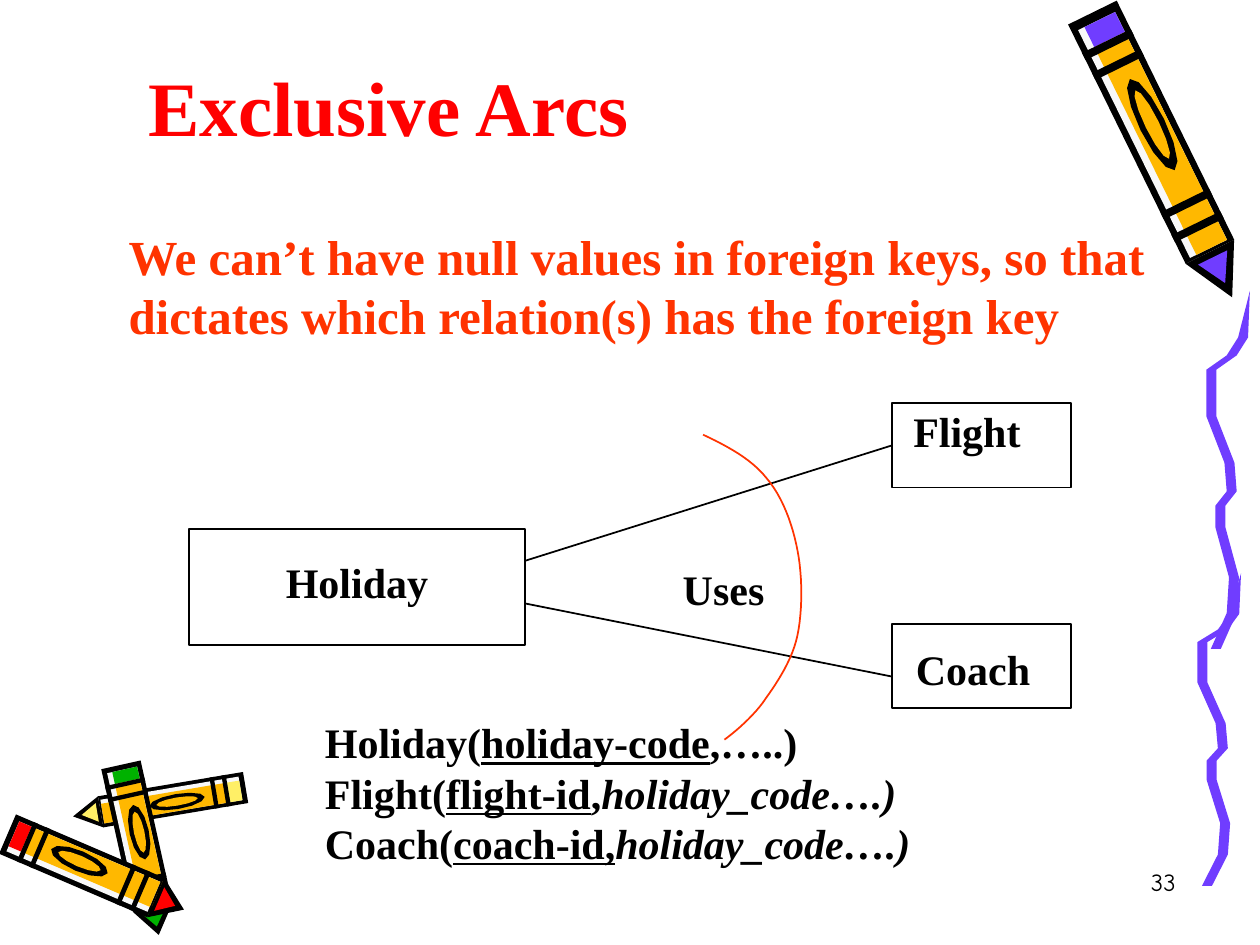
from math import cos, hypot, pi, sin

from lxml import etree
from pptx import Presentation
from pptx.dml.color import RGBColor
from pptx.enum import shapes, text
from pptx.oxml.ns import qn
from pptx.util import Inches, Pt

COLORS = {"black": "000000", "title": "FF0000", "accent": "FF3300", "purple": "703DFF",
          "orange": "FFB800", "paper": "F8F8F8", "yellow": "FFEF66", "red": "FF0000",
          "green": "00B200"}
SERIF, HAND = "Times New Roman", "Comic Neue"

TITLE = "Exclusive Arcs"
BODY = ("We can’t have null values in foreign keys, so that dictates which relation(s) "
        "has the foreign key")
# Each run is its text and its style: "" plain, "u" underlined, "i" italic
RELATIONS = [
    [("Holiday(", ""), ("holiday-code", "u"), (",…..)", "")],
    [("Flight(", ""), ("flight-id", "u"), (",", ""), ("holiday_code….)", "i")],
    [("Coach(", ""), ("coach-id,", "u"), ("holiday_code….)", "i")],
]
ENTITIES = {"Holiday": (1.5, 4.2, 2.67, 0.92), "Flight": (7.08, 3.2, 1.42, 0.67),
            "Coach": (7.08, 4.95, 1.42, 0.67)}
LABELS = {"Uses": (5.32, 4.42, 0.85, 0.5), "Flight": (7.15, 3.17, 1.05, 0.5),
          "Coach": (7.17, 5.06, 1.11, 0.5), "Holiday": (2.17, 4.37, 1.33, 0.5)}
ARC_START = (5.58, 3.45)
ARC_CURVES = [  # two control points and an end point
    ((5.77, 3.54), (5.96, 3.64), (6.08, 3.79)),
    ((6.21, 3.94), (6.29, 4.16), (6.33, 4.37)),
    ((6.37, 4.58), (6.37, 4.84), (6.33, 5.04)),
    ((6.29, 5.23), (6.18, 5.4), (6.08, 5.54)),
    ((5.99, 5.68), (5.82, 5.82), (5.75, 5.87)),
]
# Blunt end, tip, thickness, colour of both ends
CRAYONS = [
    ((1.95, 6.25), (0.58, 6.48), 0.25, "yellow"),
    ((0.96, 6.07), (1.26, 7.42), 0.32, "green"),
    ((0.06, 6.62), (1.46, 7.22), 0.34, "red"),
    ((8.67, 0.1), (9.78, 2.36), 0.43, "purple"),
]
RIBBON = [(1, 0), (.85, .13), (.6, .18), (.15, .22), (.15, .35), (.55, .48),
          (.6, .56), (.35, .6), (.35, .66), (.65, .8), (.6, .9), (.25, 1)]
RIBBON_BOXES = [(9.49, 4.55, 0.36, 2.48), (9.56, 2.31, 0.36, 2.84)]


def rgb(name):
    return RGBColor.from_string(COLORS[name])


def place(shape, box):
    shape.left, shape.top, shape.width, shape.height = map(Inches, box)


def write(shape, paragraphs, size=24, font=SERIF, color="black", bold=True, wrap=False,
          align=text.PP_ALIGN.LEFT, before=0):
    """Fill a shape with paragraphs, each a list of (text, style) runs."""
    frame = shape.text_frame
    frame.word_wrap = wrap
    frame.auto_size = text.MSO_AUTO_SIZE.NONE
    frame.vertical_anchor = text.MSO_ANCHOR.TOP
    for index, runs in enumerate(paragraphs):
        paragraph = frame.add_paragraph() if index else frame.paragraphs[0]
        paragraph.alignment = align
        paragraph.space_before = Pt(before)
        for content, style in runs:
            run = paragraph.add_run()
            run.text = content
            run.font.size, run.font.name, run.font.bold = Pt(size), font, bold
            run.font.underline, run.font.italic = style == "u", style == "i"
            run.font.color.rgb = rgb(color)


def add_text(slide, paragraphs, box, **style):
    write(slide.shapes.add_textbox(*map(Inches, box)), paragraphs, **style)


def finish(shape, fill=None, line=None):
    shape.shadow.inherit = False
    for target, color in ((shape.fill, fill), (shape.line.fill, line)):
        if color:
            target.solid()
            target.fore_color.rgb = rgb(color)
        else:
            target.background()
    if line:
        shape.line.width = Pt(1)


def add_outline(slide, points, close=True, fill=None, line=None):
    points = [(Inches(x), Inches(y)) for x, y in points]
    builder = slide.shapes.build_freeform(*points[0])
    builder.add_line_segments(points[1:], close=close)
    finish(builder.convert_to_shape(), fill, line)


def add_line(slide, start, end):
    line = slide.shapes.add_connector(shapes.MSO_CONNECTOR.STRAIGHT, *map(Inches, start + end))
    line.line.color.rgb = rgb("black")
    line.line.width = Pt(1)
    etree.SubElement(line._element.spPr, qn("a:effectLst"))
    return line


def curve_points(start, curves, steps=12):
    """Return points along a chain of cubic Bézier curves."""
    points = [start]
    for first, second, end in curves:
        corners = (points[-1], first, second, end)
        for t in (step / steps for step in range(1, steps + 1)):
            weights = ((1 - t) ** 3, 3 * t * (1 - t) ** 2, 3 * t * t * (1 - t), t ** 3)
            points.append(tuple(sum(w * c[axis] for w, c in zip(weights, corners))
                                for axis in (0, 1)))
    return points


def band(start, end, low=-0.5, high=0.5):
    return [(start, low), (start, high), (end, high), (end, low)]


def oval(length, width, sides=12):
    return [(0.4 + length * cos(2 * pi * i / sides), 0.08 + width * sin(2 * pi * i / sides))
            for i in range(sides)]


def add_crayon(slide, start, tip, thickness, accent):
    """Draw a crayon from parts given as (share of its length, share of its thickness)."""
    dx, dy = tip[0] - start[0], tip[1] - start[1]
    length = hypot(dx, dy)
    across_x, across_y = dy / length * thickness, -dx / length * thickness
    parts = [("black", band(0, 0.84) + [(1, -0.1), (1, 0.1)][:0]),
             ("black", [(0.84, -0.5), (0.84, 0.5), (1, 0)]),
             ("paper", band(0.03, 0.83, -0.38, 0.38)),
             ("orange", band(0.1, 0.83, -0.25, 0.38)),
             (accent, band(0.03, 0.1, -0.25, 0.38)),
             (accent, [(0.86, -0.3), (0.86, 0.3), (0.95, 0)]),
             ("black", oval(0.16, 0.24)), ("orange", oval(0.12, 0.13))]
    parts += [("black", band(t, t + 0.025)) for t in (0.1, 0.17, 0.66, 0.74)]
    for color, points in parts:
        add_outline(slide, [(start[0] + t * dx + s * across_x, start[1] + t * dy + s * across_y)
                            for t, s in points], fill=color)


def add_ribbon(slide, box, half_width=0.11):
    """Draw a wavy band that starts as a point at the top."""
    left, top, width, height = box
    sides = [[(left + (x + side * half_width * (y > 0)) * width, top + y * height)
              for x, y in RIBBON] for side in (-1, 1)]
    add_outline(slide, sides[0] + sides[1][::-1], fill="purple")


def main():
    presentation = Presentation()
    presentation.slide_width, presentation.slide_height = Inches(10), Inches(7.5)
    slide = presentation.slides.add_slide(presentation.slide_layouts[1])
    title, body = slide.placeholders

    for box in RIBBON_BOXES:
        add_ribbon(slide, box)
    for crayon in CRAYONS:
        add_crayon(slide, *crayon)

    place(title, (1.08, 0.42, 4.05, 0.84))
    write(title, [[(TITLE, "")]], size=44, color="title")
    place(body, (0.92, 1.75, 8.33, 1.04))
    write(body, [[(BODY, "")]], size=28, color="accent", wrap=True, before=17.5)
    properties = body.text_frame.paragraphs[0]._p.get_or_add_pPr()
    properties.set("marL", "0")
    properties.set("indent", "0")
    etree.SubElement(properties, qn("a:buNone"))

    boxes = {}
    for name, box in ENTITIES.items():
        boxes[name] = slide.shapes.add_shape(shapes.MSO_SHAPE.RECTANGLE, *map(Inches, box))
        finish(boxes[name], line="black")
    add_line(slide, (4.17, 4.45), (7.08, 3.54)).end_connect(boxes["Flight"], 1)
    add_line(slide, (7.08, 5.37), (4.17, 4.79))
    add_outline(slide, curve_points(ARC_START, ARC_CURVES), close=False, line="accent")
    for name, box in LABELS.items():
        add_text(slide, [[(name, "")]], box)

    add_text(slide, RELATIONS, (2.48, 5.64, 4.85, 1.3))
    add_text(slide, [[("33", "")]], (7.35, 6.83, 2.08, 0.5), size=14, font=HAND, bold=False,
             wrap=True, align=text.PP_ALIGN.RIGHT)
    presentation.save("out.pptx")


if __name__ == "__main__":
    main()
